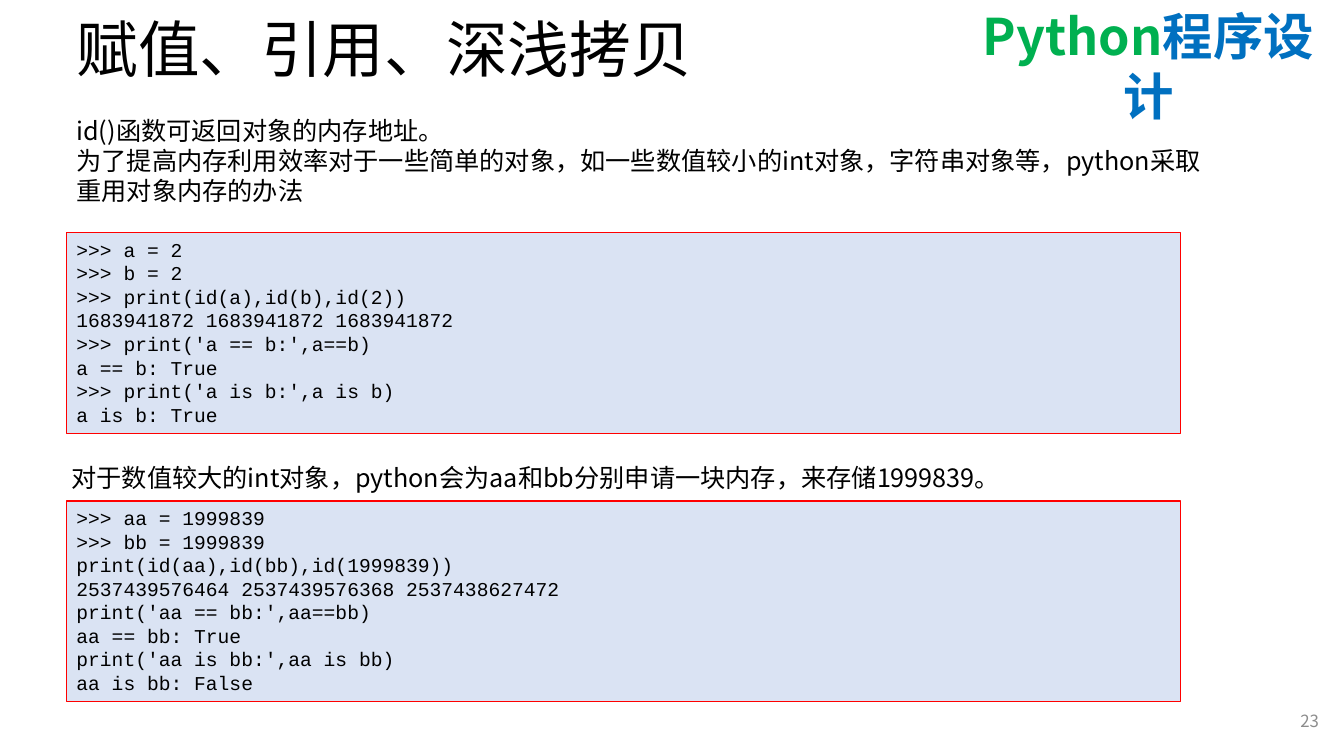
from lxml.etree import SubElement
from pptx import Presentation
from pptx.dml.color import RGBColor
from pptx.enum.shapes import MSO_SHAPE as Shape
from pptx.enum.text import MSO_ANCHOR as Anchor, PP_ALIGN as Align
from pptx.oxml.ns import qn
from pptx.util import Inches, Pt

COLORS = {"text": "000000", "green": "00B050", "blue": "0070C0", "number": "8C8C8C",
          "panel": "DAE3F3", "border": "FF0000"}
SANS, MONO, TITLE_FONT = "Noto Sans CJK SC", "Courier New", "Arial"

COURSE = [("Python", "green"), ("程序设计", "blue")]
TITLE = "赋值、引用、深浅拷贝"
PAGE_NUMBER = "23"
NOTES = [
    ((0.66, 1.09, 11.59, 1.01), [
        "id()函数可返回对象的内存地址。",
        "为了提高内存利用效率对于一些简单的对象，如一些数值较小的int对象，字符串对象等，python采取重用对象内存的办法",
    ]),
    ((0.61, 4.54, 11.59, 0.4), [
        "对于数值较大的int对象，python会为aa和bb分别申请一块内存，来存储1999839。",
    ]),
]
LISTINGS = [
    (2.31, [
        ">>> a = 2",
        ">>> b = 2",
        ">>> print(id(a),id(b),id(2))",
        "1683941872 1683941872 1683941872",
        ">>> print('a == b:',a==b)",
        "a == b: True",
        ">>> print('a is b:',a is b)",
        "a is b: True",
    ]),
    (4.97, [
        ">>> aa = 1999839",
        ">>> bb = 1999839",
        "print(id(aa),id(bb),id(1999839))",
        "2537439576464 2537439576368 2537438627472",
        "print('aa == bb:',aa==bb)",
        "aa == bb: True",
        "print('aa is bb:',aa is bb)",
        "aa is bb: False",
    ]),
]


def color(name):
    return RGBColor.from_string(COLORS[name])


def write(box, paragraphs, size, font=SANS, align=Align.LEFT, anchor=Anchor.TOP,
          bold=False, spacing=1.0):
    frame = box.text_frame
    frame.word_wrap = True
    frame.vertical_anchor = anchor
    for index, spans in enumerate(paragraphs):
        para = frame.add_paragraph() if index else frame.paragraphs[0]
        para.alignment = align
        para.line_spacing = spacing
        for text, tint in spans:
            span = para.add_run()
            span.text = text
            span.font.name = font
            span.font.size = Pt(size)
            span.font.bold = bold
            span.font.color.rgb = color(tint)
            SubElement(span.font._element, qn("a:ea")).set("typeface", SANS)


def add_text(page, area, paragraphs, size, **style):
    box = page.shapes.add_textbox(*map(Inches, area))
    write(box, paragraphs, size, **style)


def add_listing(page, top, lines):
    panel = page.shapes.add_shape(Shape.RECTANGLE, *map(Inches, (0.66, top, 11.05, 1.99)))
    panel.shadow.inherit = False
    panel.fill.solid()
    panel.fill.fore_color.rgb = color("panel")
    panel.line.color.rgb = color("border")
    panel.line.width = Pt(0.75)
    write(panel, [[(line, "text")] for line in lines], 14, font=MONO)


def main():
    deck = Presentation()
    deck.slide_width, deck.slide_height = Inches(13.33), Inches(7.5)
    page = deck.slides.add_slide(deck.slide_layouts[6])
    add_text(page, (9.47, 0, 3.84, 0.71), [COURSE], 36, align=Align.CENTER, bold=True)
    add_text(page, (0.66, 0, 11.5, 1.05), [[(TITLE, "text")]], 44, font=TITLE_FONT,
             anchor=Anchor.MIDDLE, spacing=0.9)
    add_text(page, (10.18, 6.95, 3, 0.4), [[(PAGE_NUMBER, "number")]], 12,
             align=Align.RIGHT, anchor=Anchor.MIDDLE)
    for top, lines in LISTINGS:
        add_listing(page, top, lines)
    for area, lines in NOTES:
        add_text(page, area, [[(line, "text")] for line in lines], 18)
    deck.save("out.pptx")


if __name__ == "__main__":
    main()
